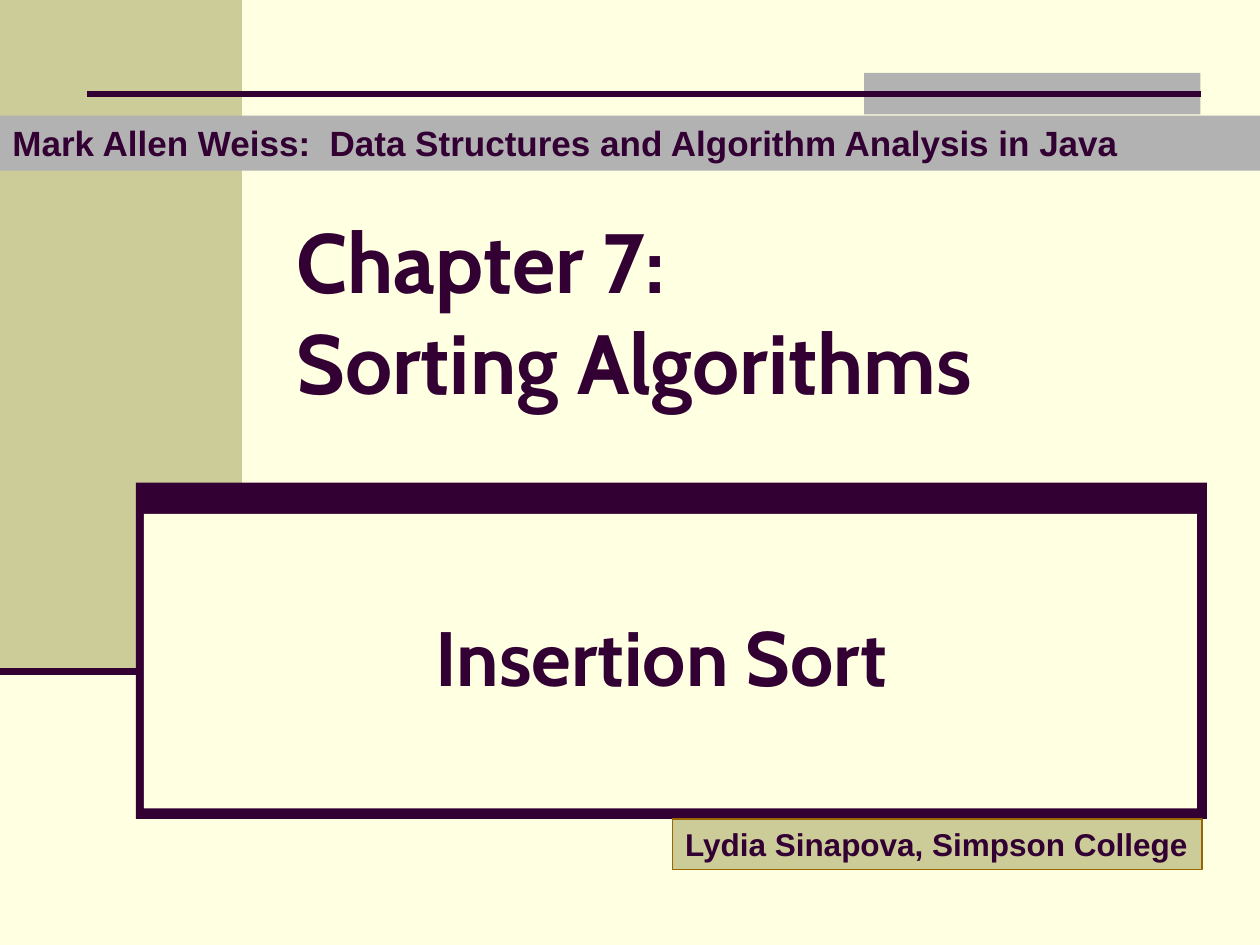
from dataclasses import dataclass

from lxml.etree import SubElement
from pptx import Presentation
from pptx.dml.color import RGBColor
from pptx.enum.shapes import MSO_CONNECTOR, MSO_SHAPE
from pptx.enum.text import MSO_ANCHOR, MSO_AUTO_SIZE, PP_ALIGN
from pptx.oxml.ns import qn
from pptx.slide import Slide
from pptx.util import Cm, Pt


def color(hex_string):
    return RGBColor.from_string(hex_string)


@dataclass
class SlideBuilder:
    """Holds the style and the current slide, and draws each kind of element."""

    slide: Slide
    heading_font: str = "Cabin"
    label_font: str = "Arial"
    dark: str = "330033"
    cream: str = "FFFFE1"
    olive: str = "CCCC99"
    gray: str = "B2B2B2"
    brown: str = "996600"

    def background(self):
        fill = self.slide.background.fill
        fill.solid()
        fill.fore_color.rgb = color(self.cream)

    def rectangle(self, left, top, width, height, fill, outline=None):
        shape = self.slide.shapes.add_shape(
            MSO_SHAPE.RECTANGLE, Cm(left), Cm(top), Cm(width), Cm(height))
        shape.shadow.inherit = False
        shape.fill.solid()
        shape.fill.fore_color.rgb = color(fill)
        if outline:
            shape.line.color.rgb = color(outline)
            shape.line.width = Pt(1)
        else:
            shape.line.fill.background()
        return shape

    def rule(self, left, right, top, width):
        connector = self.slide.shapes.add_connector(
            MSO_CONNECTOR.STRAIGHT, Cm(left), Cm(top), Cm(right), Cm(top))
        connector.line.color.rgb = color(self.dark)
        connector.line.width = Pt(width)
        SubElement(connector.element.spPr, qn("a:effectLst"))

    def text(self, shape, text, font_name, size, alignment=PP_ALIGN.LEFT,
             anchor=MSO_ANCHOR.MIDDLE, wrap=True):
        frame = shape.text_frame
        frame.text = text
        frame.auto_size = MSO_AUTO_SIZE.NONE
        frame.word_wrap = wrap
        frame.vertical_anchor = anchor
        paragraph = frame.paragraphs[0]
        paragraph.alignment = alignment
        paragraph.space_before = Pt(0)
        for run in paragraph.runs:
            run.font.name = font_name
            run.font.size = Pt(size)
            run.font.bold = True
            run.font.color.rgb = color(self.dark)

    def label(self, shape, text, size, wrap=True):
        self.text(shape, text, self.label_font, size, anchor=MSO_ANCHOR.TOP, wrap=wrap)

    def heading(self, index, left, top, width, height, text, size, alignment):
        shape = self.slide.placeholders[index]
        shape.left, shape.top = Cm(left), Cm(top)
        shape.width, shape.height = Cm(width), Cm(height)
        self.text(shape, text, self.heading_font, size, alignment)
        shape.element.getparent().append(shape.element)


def main():
    presentation = Presentation()
    presentation.slide_width, presentation.slide_height = Cm(25.4), Cm(19.05)
    builder = SlideBuilder(presentation.slides.add_slide(presentation.slide_layouts[0]))

    builder.background()
    builder.rectangle(0, 0, 4.88, 13.54, builder.olive)
    builder.rectangle(2.74, 9.73, 21.59, 6.78, builder.dark)
    builder.rectangle(2.9, 10.36, 21.23, 5.94, builder.cream)
    builder.rule(0, 2.74, 13.54, 4)
    builder.rectangle(17.42, 1.47, 6.78, 0.84, builder.gray)
    builder.rule(1.75, 24.21, 1.9, 3.5)

    builder.heading(0, 5.72, 3.18, 18.42, 6.15,
                    "Chapter 7:\vSorting Algorithms", 48, PP_ALIGN.LEFT)
    builder.heading(1, 3.81, 11, 19.05, 4.45, "Insertion Sort", 44, PP_ALIGN.CENTER)

    banner = builder.rectangle(0, 2.33, 25.4, 1.11, builder.gray)
    builder.label(
        banner, "Mark Allen Weiss:  Data Structures and Algorithm Analysis in Java", 20)
    author = builder.rectangle(13.56, 16.51, 10.67, 1.02, builder.olive, builder.brown)
    builder.label(author, "Lydia Sinapova, Simpson College", 18, wrap=False)

    presentation.save("out.pptx")


if __name__ == "__main__":
    main()
